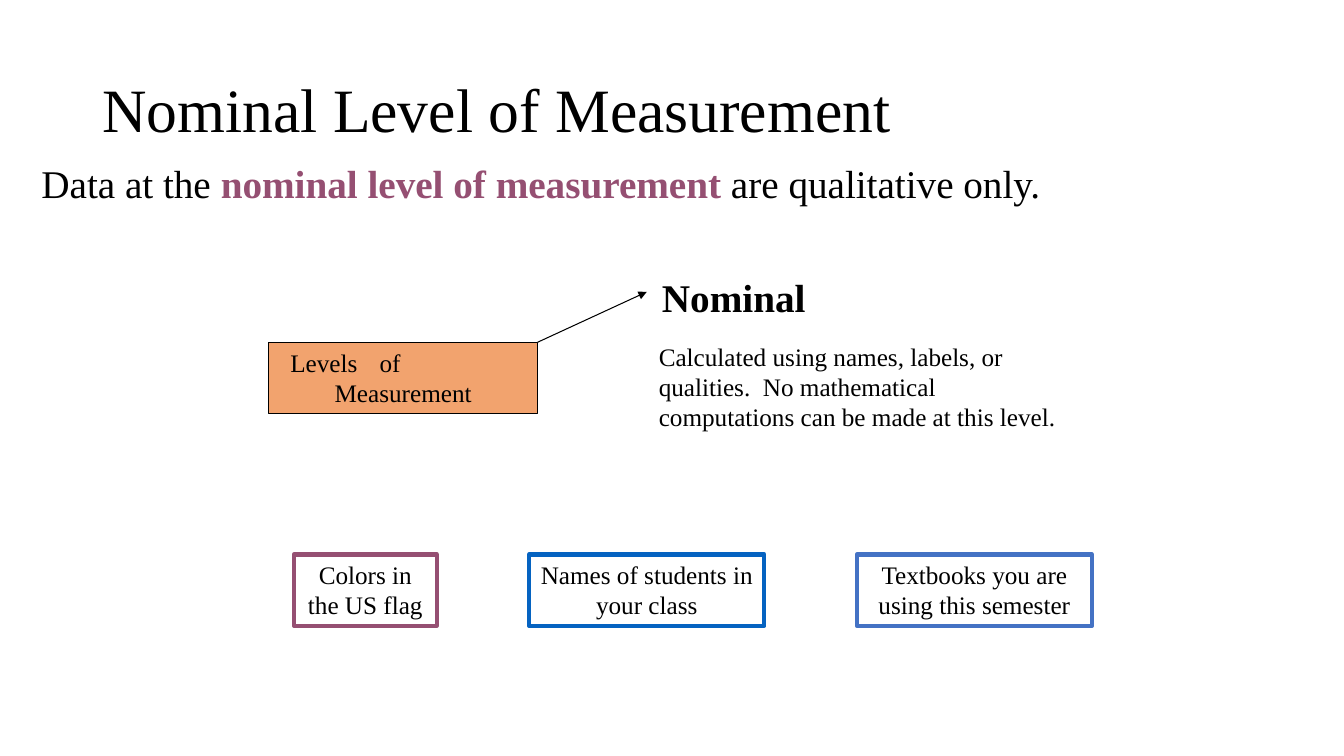
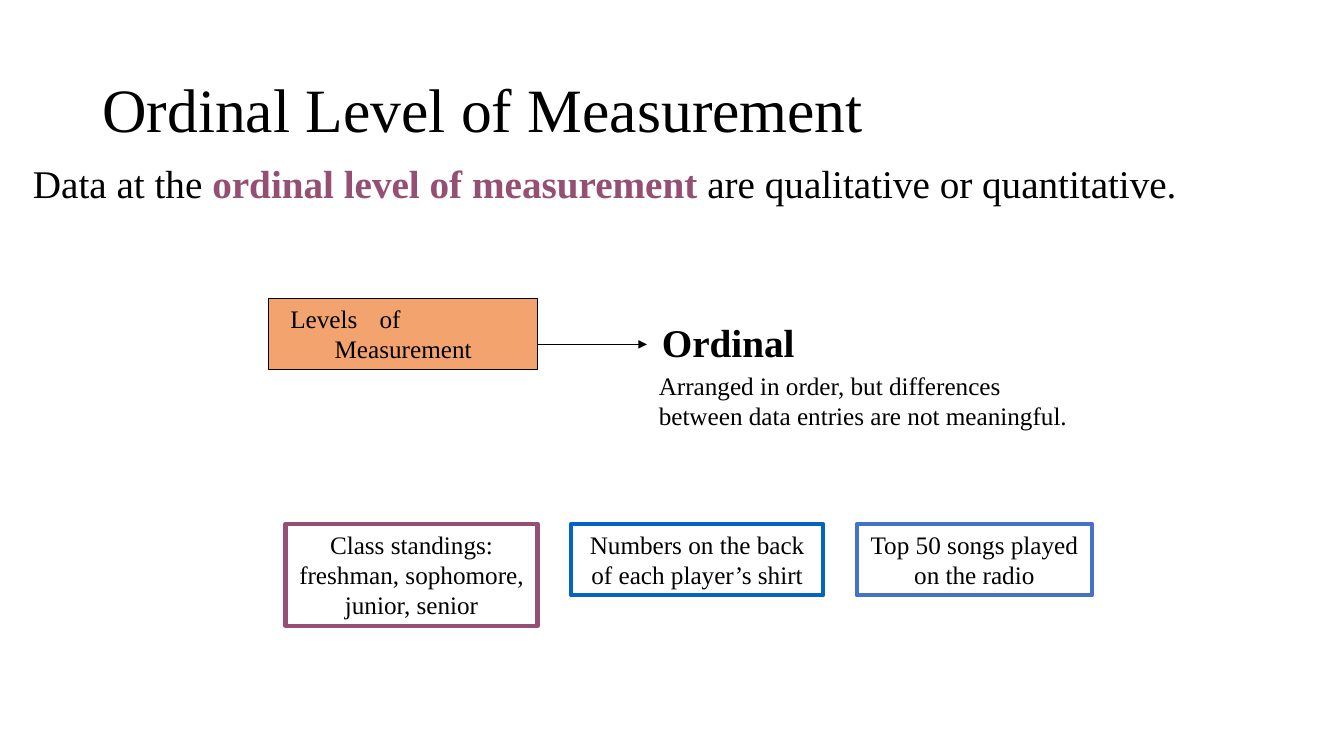
"""Build two slides on the nominal and ordinal levels of measurement."""
from dataclasses import dataclass
from typing import Optional

from lxml import etree
from pptx import Presentation, util as u
from pptx.dml.color import RGBColor
from pptx.enum import shapes, text
from pptx.oxml import ns

PX = 9525
FONT = "Times New Roman"
BLACK, PLUM, BLUE, INDIGO, ORANGE = "000000", "954F72", "0563C1", "4472C4", "ED7D31"
EXAMPLE_COLORS = (PLUM, BLUE, INDIGO)
TITLE_SIZE, HEADING_SIZE, BODY_SIZE = 44, 28, 18
LINE_HEIGHT = 68


@dataclass(frozen=True)
class Box:
    left: int
    top: int
    width: int
    height: int


@dataclass(frozen=True)
class Example:
    words: str
    box: Box


@dataclass(frozen=True)
class Level:
    name: str
    kind: str
    statement: Box
    levels_top: int
    name_top: int
    arrow: tuple[int, int]
    meaning: str
    meaning_box: Box
    examples: tuple[Example, ...]


LEVELS = (
    Level(
        "Nominal", "qualitative only.", Box(30, 152, 1050, 96), 326, 256, (326, 278),
        "Calculated using names, labels, or qualities.  No mathematical "
        "computations can be made at this level.",
        Box(618, 320, 414, 97),
        (
            Example("Colors in the US flag", Box(280, 528, 136, LINE_HEIGHT)),
            Example("Names of students in your class", Box(504, 528, 224, LINE_HEIGHT)),
            Example("Textbooks you are using this semester", Box(816, 528, 224, LINE_HEIGHT)),
        ),
    ),
    Level(
        "Ordinal", "qualitative or quantitative.", Box(22, 152, 1138, 96), 284, 298, (328, 328),
        "Arranged in order, but differences between data entries are not meaningful.",
        Box(618, 348, 414, LINE_HEIGHT),
        (
            Example("Class standings: freshman, sophomore, junior, senior", Box(272, 499, 240, 97)),
            Example("Numbers on the back of each player’s shirt", Box(544, 499, 240, LINE_HEIGHT)),
            Example("Top 50 songs played on the radio", Box(816, 499, 224, LINE_HEIGHT)),
        ),
    ),
)


def px(length: int) -> u.Emu:
    """Turn whole pixels into EMU."""
    return u.Emu(length * PX)


def rgb(color: str) -> RGBColor:
    """Turn a hex string into a colour."""
    return RGBColor.from_string(color)


def place(box: Box) -> tuple[u.Emu, ...]:
    """Give the position and size of a box in EMU."""
    return px(box.left), px(box.top), px(box.width), px(box.height)


def style(font, size: int, color: str = BLACK, bold: bool = False) -> None:
    """Set the typeface, size, colour and weight of a font."""
    font.name, font.size, font.bold = FONT, u.Pt(size), bold
    font.color.rgb = rgb(color)


def add_text(slide, box: Box, words: str, size: int, bold: bool = False):
    """Add a wrapping text box with one paragraph and return its frame."""
    frame = slide.shapes.add_textbox(*place(box)).text_frame
    frame.word_wrap = True
    frame.text = words
    style(frame.paragraphs[0].font, size, bold=bold)
    return frame


def add_box(slide, box: Box, words: str, line: str, weight: float, fill: Optional[str] = None):
    """Add an outlined rectangle with centred text."""
    shape = slide.shapes.add_shape(shapes.MSO_SHAPE.RECTANGLE, *place(box))
    shape.shadow.inherit = False
    shape.line.color.rgb, shape.line.width = rgb(line), u.Pt(weight)
    if fill:
        shape.fill.solid()
        shape.fill.fore_color.rgb = rgb(fill)
    else:
        shape.fill.background()
    frame = shape.text_frame
    frame.text = words
    frame.word_wrap = True
    frame.vertical_anchor = text.MSO_ANCHOR.TOP
    for paragraph in frame.paragraphs:
        paragraph.alignment = text.PP_ALIGN.CENTER
        style(paragraph.font, BODY_SIZE)
    return shape


def add_levels_box(slide, top: int):
    """Add the translucent box that names the levels of measurement."""
    box = Box(256, top, 256, LINE_HEIGHT)
    shape = add_box(slide, box, "Levels\tof\nMeasurement", BLACK, 0.75, ORANGE)
    color = shape.fill._xPr.find(".//" + ns.qn("a:srgbClr"))
    etree.SubElement(color, ns.qn("a:alpha"), val="70000")
    first = shape.text_frame.paragraphs[0]
    first.alignment = text.PP_ALIGN.LEFT
    properties = first._p.get_or_add_pPr()
    properties.set("marL", "0")
    properties.set("indent", str(px(11)))
    tabs = etree.Element(ns.qn("a:tabLst"))
    etree.SubElement(tabs, ns.qn("a:tab"), pos=str(px(177)), algn="l")
    properties.insert(0, tabs)


def add_arrow(slide, start_y: int, end_y: int) -> None:
    """Add the arrow from the levels box to the level name."""
    arrow = slide.shapes.add_connector(
        shapes.MSO_CONNECTOR.STRAIGHT, px(512), px(start_y), px(616), px(end_y)
    )
    arrow.line.color.rgb, arrow.line.width = rgb(BLACK), u.Pt(0.75)
    etree.SubElement(arrow.line._get_or_add_ln(), ns.qn("a:tailEnd"), type="triangle")
    etree.SubElement(arrow._element.spPr, ns.qn("a:effectLst"))


def add_statement(slide, level: Level) -> None:
    """Add the sentence that says which data the level covers."""
    frame = add_text(slide, level.statement, "", HEADING_SIZE)
    paragraph = frame.paragraphs[0]
    paragraph.line_spacing = 0.9
    parts = (
        ("Data at the ", BLACK, False),
        (f"{level.name.lower()} level of measurement ", PLUM, True),
        (f"are {level.kind}", BLACK, False),
    )
    for words, color, bold in parts:
        run = paragraph.add_run()
        run.text = words
        style(run.font, HEADING_SIZE, color, bold)


def add_level_slide(presentation, level: Level) -> None:
    """Add the slide for one level of measurement."""
    slide = presentation.slides.add_slide(presentation.slide_layouts[6])
    title = add_text(
        slide, Box(88, 38, 1104, 139), f"{level.name} Level of Measurement", TITLE_SIZE
    )
    title.vertical_anchor = text.MSO_ANCHOR.MIDDLE
    title.paragraphs[0].line_spacing = 0.9
    add_statement(slide, level)
    add_levels_box(slide, level.levels_top)
    add_text(slide, Box(621, level.name_top, 252, 55), level.name, HEADING_SIZE, bold=True)
    add_arrow(slide, *level.arrow)
    add_text(slide, level.meaning_box, level.meaning, BODY_SIZE)
    for example, color in zip(level.examples, EXAMPLE_COLORS):
        add_box(slide, example.box, example.words, color, 3)


def main() -> None:
    """Build and save the presentation."""
    presentation = Presentation()
    presentation.slide_width, presentation.slide_height = px(1280), px(720)
    for level in LEVELS:
        add_level_slide(presentation, level)
    presentation.save("out.pptx")


if __name__ == "__main__":
    main()
